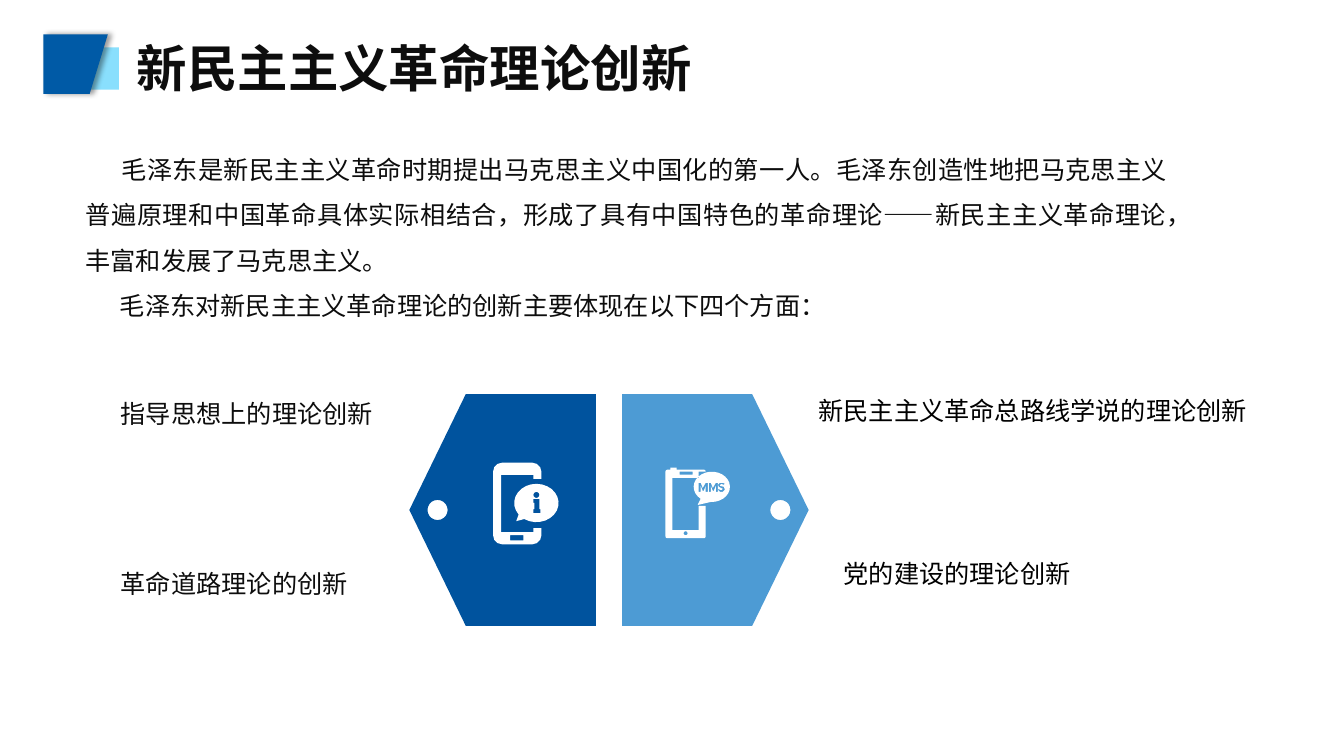
import math

from lxml import etree
from pptx import Presentation, util as u
from pptx.dml.color import RGBColor
from pptx.enum import shapes, text
from pptx.oxml import ns

NAVY = RGBColor(0x00, 0x53, 0x9E)
BLUE = RGBColor(0x00, 0x5A, 0xA6)
SKY = RGBColor(0x4D, 0x9B, 0xD4)
PALE = RGBColor(0x89, 0xDF, 0xFD)
WHITE = RGBColor(0xFF, 0xFF, 0xFF)
BLACK = RGBColor(0, 0, 0)
INK = RGBColor(0x0D, 0x0D, 0x0D)
FONT = "Noto Sans CJK SC"


def paint(shape, color):
    """Give a shape a flat fill with no line or shadow."""
    shape.shadow.inherit = False
    shape.fill.solid()
    shape.fill.fore_color.rgb = color
    shape.line.fill.background()
    return shape


def trace(slide, x, y, rings, color):
    """Add one flat outline from rings of points measured from x, y."""
    pen = None
    for ring in rings:
        spots = [(u.Inches(x + dx), u.Inches(y + dy)) for dx, dy in ring]
        if pen is None:
            pen = slide.shapes.build_freeform(*spots[0], scale=1.0)
        else:
            pen.move_to(*spots[0])
        pen.add_line_segments(spots[1:], close=True)
    return paint(pen.convert_to_shape(), color)


def arc(cx, cy, rx, ry, start=0, end=360, steps=12):
    """Return points along an ellipse between two angles."""
    turns = [math.radians(start + (end - start) * i / steps)
             for i in range(steps + 1)]
    return [(cx + rx * math.cos(t), cy + ry * math.sin(t)) for t in turns]


def block(x, y, w, h):
    """Return the corners of a rectangle."""
    return [(x, y), (x + w, y), (x + w, y + h), (x, y + h)]


def case(w, top, h, r, edge, rim, high, low):
    """Return a phone frame that is open on the right, between high and low."""
    end = top + h
    return (arc(r, top + r, r, r, 180, 270, 3)
            + arc(w - r, top + r, r, r, 270, 360, 3)
            + [(w, high), (w - edge, high), (w - edge, top + rim),
               (edge, top + rim), (edge, end - rim), (w - edge, end - rim),
               (w - edge, low), (w, low)]
            + arc(w - r, end - r, r, r, 0, 90, 3)
            + arc(r, end - r, r, r, 90, 180, 3))


def add_run(para, words, size, color, bold=False):
    """Add one run in the slide's font."""
    run = para.add_run()
    run.text = words
    font = run.font
    font.name, font.size, font.bold = FONT, u.Pt(size), bold
    font.color.rgb = color
    etree.SubElement(font._element, ns.qn("a:ea"), typeface=FONT)


def write(slide, x, y, w, h, lines, size=18, color=INK, bold=False, wrap=True):
    """Add a text box and return its paragraphs."""
    box = slide.shapes.add_textbox(*[u.Inches(v) for v in (x, y, w, h)])
    frame = box.text_frame
    frame.word_wrap = wrap
    for i, line in enumerate(lines):
        para = frame.add_paragraph() if i else frame.paragraphs[0]
        add_run(para, line, size, color, bold)
    return frame.paragraphs


def header(slide, x, y):
    """Place the title and its badge."""
    box = [u.Inches(v) for v in (x + 0.26, y + 0.13, 0.49, 0.42)]
    paint(slide.shapes.add_shape(shapes.MSO_SHAPE.RECTANGLE, *box), PALE)
    badge = trace(slide, x, y, [[(0, 0), (0.64, 0), (0.46, 0.59), (0, 0.59)]], BLUE)
    glow = badge._element.spPr.find(ns.qn("a:effectLst"))
    cast = etree.SubElement(glow, ns.qn("a:outerShdw"), blurRad=str(u.Pt(4)),
                            dist=str(u.Pt(3)), dir="0", algn="l", rotWithShape="0")
    tint = etree.SubElement(cast, ns.qn("a:srgbClr"), val="000000")
    etree.SubElement(tint, ns.qn("a:alpha"), val="40000")
    write(slide, x + 0.83, y - 0.02, 5.7, 0.71, ["新民主主义革命理论创新"],
          36, bold=True, wrap=False)


def body(slide, x, y, w, h):
    """Place the two opening paragraphs."""
    lines = [
        "毛泽东是新民主主义革命时期提出马克思主义中国化的第一人。毛泽东创造性地把马克思主义"
        "普遍原理和中国革命具体实际相结合，形成了具有中国特色的革命理论——新民主主义革命理论，"
        "丰富和发展了马克思主义。",
        "毛泽东对新民主主义革命理论的创新主要体现在以下四个方面：",
    ]
    paras = write(slide, x, y, w, h, lines)
    for para, dent in zip(paras, (0.36, 0.34)):
        para.alignment = text.PP_ALIGN.JUSTIFY
        para.line_spacing = 1.5
        para._p.get_or_add_pPr().set("indent", str(u.Inches(dent)))


def panel(slide, x, y, w, h, color, right):
    """Place a pointed panel with a round hole near its tip."""
    edge = [(w, 0), (0.56, 0), (0, h / 2), (0.56, h), (w, h)]
    rings = [edge, arc(0.28, h / 2, 0.1, 0.1, steps=20)]
    if right:
        rings = [[(w - dx, dy) for dx, dy in ring] for ring in rings]
    trace(slide, x, y, rings, color)


def info_icon(slide, x, y):
    """Place the phone with an information bubble."""
    sign = [(0.4, 0.36), (0.46, 0.36), (0.46, 0.46), (0.47, 0.46), (0.47, 0.5),
            (0.4, 0.5), (0.4, 0.46), (0.41, 0.46), (0.41, 0.4), (0.4, 0.4)]
    trace(slide, x, y, [
        case(0.48, 0, 0.81, 0.09, 0.08, 0.12, 0.16, 0.65),
        block(0.17, 0.72, 0.13, 0.05),
        arc(0.43, 0.4, 0.22, 0.19, 143, 483, 24) + [(0.23, 0.58)],
        sign,
        arc(0.43, 0.32, 0.03, 0.03),
    ], WHITE)


def mms_icon(slide, x, y):
    """Place the phone with a message bubble."""
    m = [(0, 0), (0, 0.09), (0.02, 0.09), (0.02, 0.03), (0.04, 0.08), (0.05, 0.08),
         (0.07, 0.03), (0.07, 0.09), (0.09, 0.09), (0.09, 0), (0.07, 0),
         (0.04, 0.05), (0.02, 0)]
    s = [(0.07, 0.01), (0.05, 0), (0.02, 0), (0, 0.02), (0.01, 0.04), (0.05, 0.06),
         (0.04, 0.07), (0.02, 0.07), (0.01, 0.06), (0, 0.07), (0.02, 0.09),
         (0.05, 0.09), (0.07, 0.07), (0.06, 0.04), (0.02, 0.03), (0.03, 0.01),
         (0.06, 0.02)]
    marks = [[(left + dx, 0.15 + dy) for dx, dy in mark]
             for left, mark in ((0.33, m), (0.43, m), (0.52, s))]
    trace(slide, x, y, [
        case(0.4, 0.02, 0.68, 0.02, 0.07, 0.08, 0.04, 0.38),
        block(0.05, 0, 0.06, 0.02),
        block(0.14, 0.04, 0.13, 0.03),
        arc(0.2, 0.65, 0.02, 0.02),
        arc(0.46, 0.19, 0.18, 0.15, 128, 453, 24) + [(0.32, 0.37)],
        *marks,
    ], WHITE)


def figure(slide, x, y):
    """Place the two panels, their icons and the four labels."""
    panel(slide, x + 2.11, y, 1.85, 2.3, SKY, True)
    panel(slide, x, y, 1.85, 2.3, NAVY, False)
    mms_icon(slide, x + 2.54, y + 0.73)
    info_icon(slide, x + 0.83, y + 0.68)
    labels = [
        (-2.96, -0.01, 3.1, INK, "指导思想上的理论创新"),
        (-2.96, 1.68, 3.1, INK, "革命道路理论的创新"),
        (3.96, -0.04, 4.5, BLACK, "新民主主义革命总路线学说的理论创新"),
        (4.21, 1.58, 3.33, BLACK, "党的建设的理论创新"),
    ]
    for dx, dy, w, color, words in labels:
        write(slide, x + dx, y + dy, w, 0.4, [words], color=color)


def main():
    """Build and save the slide."""
    deck = Presentation()
    deck.slide_width, deck.slide_height = u.Inches(13.33), u.Inches(7.5)
    slide = deck.slides.add_slide(deck.slide_layouts[6])
    header(slide, 0.43, 0.34)
    figure(slide, 4.06, 3.91)
    body(slide, 0.75, 1.33, 10.93, 1.92)
    deck.save("out.pptx")


if __name__ == "__main__":
    main()
